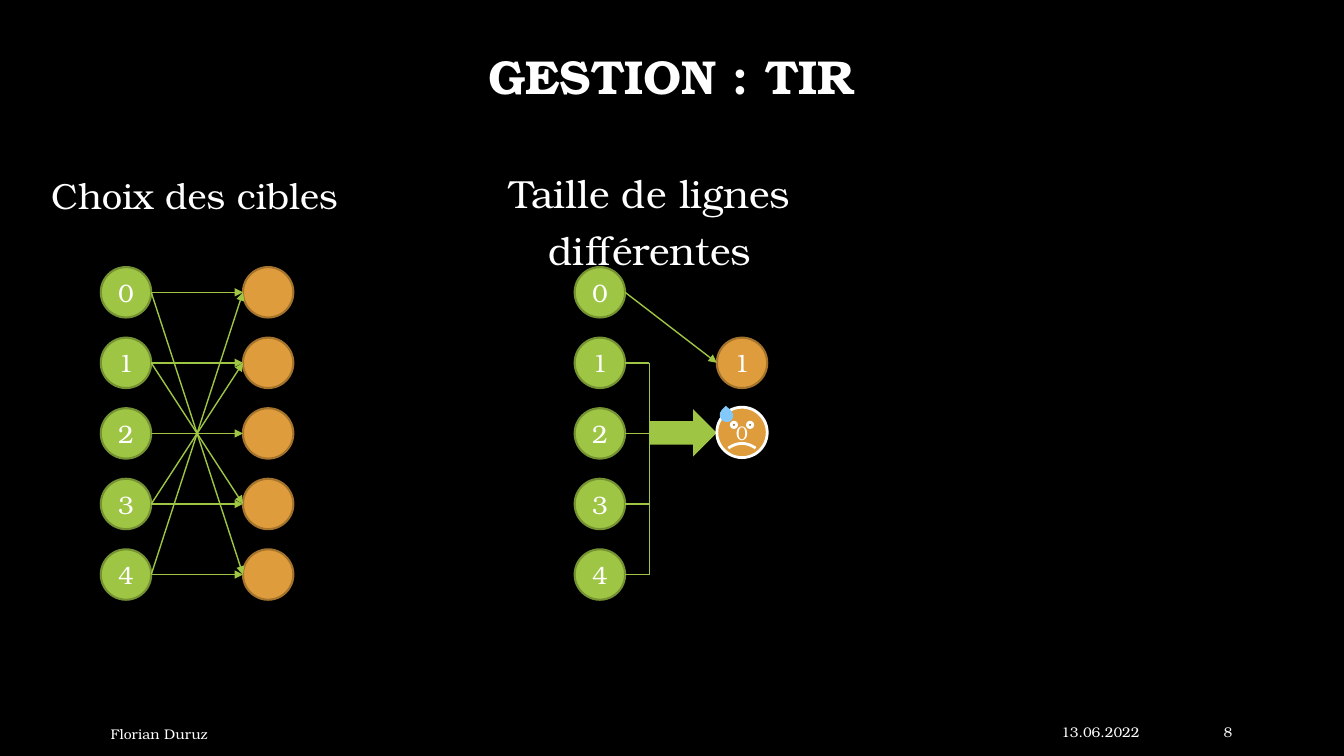
from lxml import etree
from pptx import Presentation
from pptx import util as u
from pptx.dml.color import RGBColor
from pptx.enum import shapes, text
from pptx.oxml.ns import qn

FONT = "TeX Gyre Bonum"
WHITE, GREEN, ORANGE = "FFFFFF", "9EC544", "DE9C3C"
EDGE = {GREEN: "759232", ORANGE: "A4732C"}
KIND = shapes.MSO_SHAPE
ALIGN = text.PP_ALIGN
ANCHOR = text.MSO_ANCHOR
color = RGBColor.from_string

deck = Presentation()
deck.slide_width, deck.slide_height = u.Inches(13.33), u.Inches(7.5)
slide = deck.slides.add_slide(deck.slide_layouts[6])
slide.background.fill.solid()
slide.background.fill.fore_color.rgb = color("000000")


def write(holder, words, size, align=ALIGN.CENTER, anchor=ANCHOR.MIDDLE, spacing=1.0, bold=False):
    frame = holder.text_frame
    frame.word_wrap = True
    frame.vertical_anchor = anchor
    frame.text = words
    paragraph = frame.paragraphs[0]
    paragraph.alignment = align
    paragraph.line_spacing = spacing
    for run in paragraph.runs:
        run.font.name, run.font.size, run.font.bold = FONT, u.Pt(size), bold
        run.font.color.rgb = color(WHITE)
    return frame


def draw(kind, left, top, width, height, fill, edge=None, weight=1.5):
    figure = slide.shapes.add_shape(kind, *map(u.Inches, (left, top, width, height)))
    figure.shadow.inherit = False
    figure.fill.solid()
    figure.fill.fore_color.rgb = color(fill)
    if edge:
        figure.line.color.rgb = color(edge)
        figure.line.width = u.Pt(weight)
    else:
        figure.line.fill.background()
    return figure


for words, place, size, align, anchor, spacing, bold in [
    ("GESTION : TIR", (1, 0.06, 11.32, 1.45), 34, ALIGN.CENTER, ANCHOR.MIDDLE, 0.9, True),
    ("13.06.2022", (8.4, 7.06, 3, 0.4), 10, ALIGN.RIGHT, ANCHOR.MIDDLE, 1.0, False),
    ("Florian Duruz", (1, 7.08, 7.3, 0.4), 10, ALIGN.LEFT, ANCHOR.MIDDLE, 1.0, False),
    ("8", (11.5, 7.06, 0.82, 0.4), 10, ALIGN.RIGHT, ANCHOR.MIDDLE, 1.0, False),
    ("Choix des cibles", (0.38, 1.58, 3.1, 0.77), 25.9, ALIGN.CENTER, ANCHOR.TOP, 1.2, False),
    ("Taille de lignes différentes", (3.97, 1.54, 4.95, 0.77), 28, ALIGN.CENTER, ANCHOR.TOP, 1.2, False),
]:
    write(slide.shapes.add_textbox(*map(u.Inches, place)), words, size, align, anchor, spacing, bold)

UNIT = 0.5
ROWS = [2.9 + 0.7 * row for row in range(5)]
SHOOTERS, TARGETS = (1, 5.7), (2.41, 7.11)
MUZZLES = [left + UNIT for left in SHOOTERS]
BRACKET = 6.44

units = [(left, row, GREEN, str(row)) for left in SHOOTERS for row in range(5)]
units += [(TARGETS[0], row, ORANGE, "") for row in range(5)]
units += [(TARGETS[1], 1, ORANGE, "1")]
for left, row, fill, number in units:
    unit = draw(KIND.OVAL, left, ROWS[row] - UNIT / 2, UNIT, UNIT, fill, EDGE[fill])
    if number:
        frame = write(unit, number, 18)
        frame.margin_left = frame.margin_right = 0

shots = [(MUZZLES[0], ROWS[row], TARGETS[0], ROWS[target], True)
         for row in range(5) for target in sorted({row, 4 - row})]
shots += [(MUZZLES[1], ROWS[0], TARGETS[1], ROWS[1], True)]
shots += [(MUZZLES[1], ROWS[row], BRACKET, ROWS[row], False) for row in range(1, 5)]
shots += [(BRACKET, ROWS[1], BRACKET, ROWS[4], False)]
for x1, y1, x2, y2, pointed in shots:
    shot = slide.shapes.add_connector(shapes.MSO_CONNECTOR.STRAIGHT, *map(u.Inches, (x1, y1, x2, y2)))
    shot.line.color.rgb = color(GREEN)
    shot.line.width = u.Pt(1)
    if pointed:
        etree.SubElement(shot.line._get_or_add_ln(), qn("a:tailEnd"), type="triangle")
    etree.SubElement(shot._element.spPr, qn("a:effectLst"))

draw(KIND.RIGHT_ARROW, BRACKET, ROWS[2] - 0.24, TARGETS[1] - BRACKET, 0.47, GREEN)
face = draw(KIND.SMILEY_FACE, TARGETS[1], ROWS[2] - 0.26, UNIT, UNIT, ORANGE, WHITE, 2)
face.adjustments[0] = -0.047
frame = write(face, "0", 14)
frame.margin_left = frame.margin_right = 0
sweat = draw(KIND.TEAR, TARGETS[1] + 0.03, ROWS[2] - 0.25, 0.13, 0.14, "82C8FB")
sweat.rotation = 313.8

deck.save("out.pptx")
